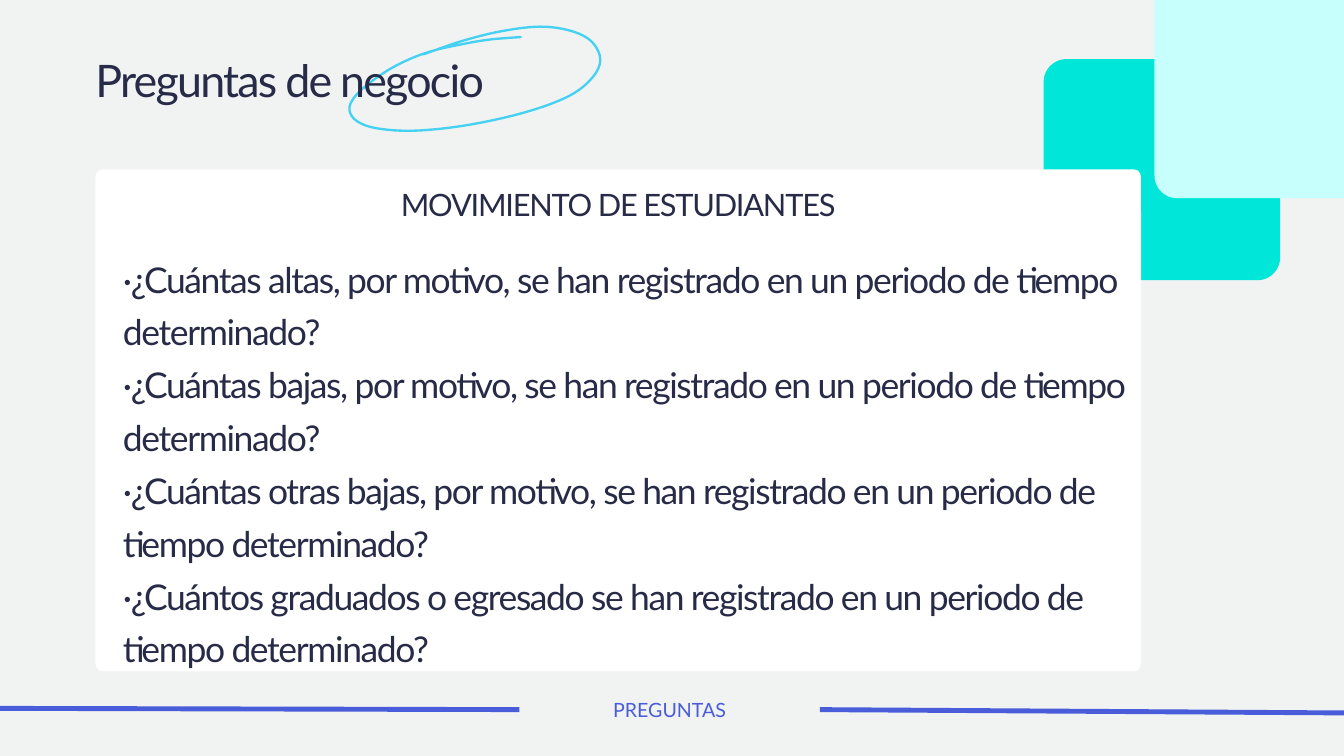
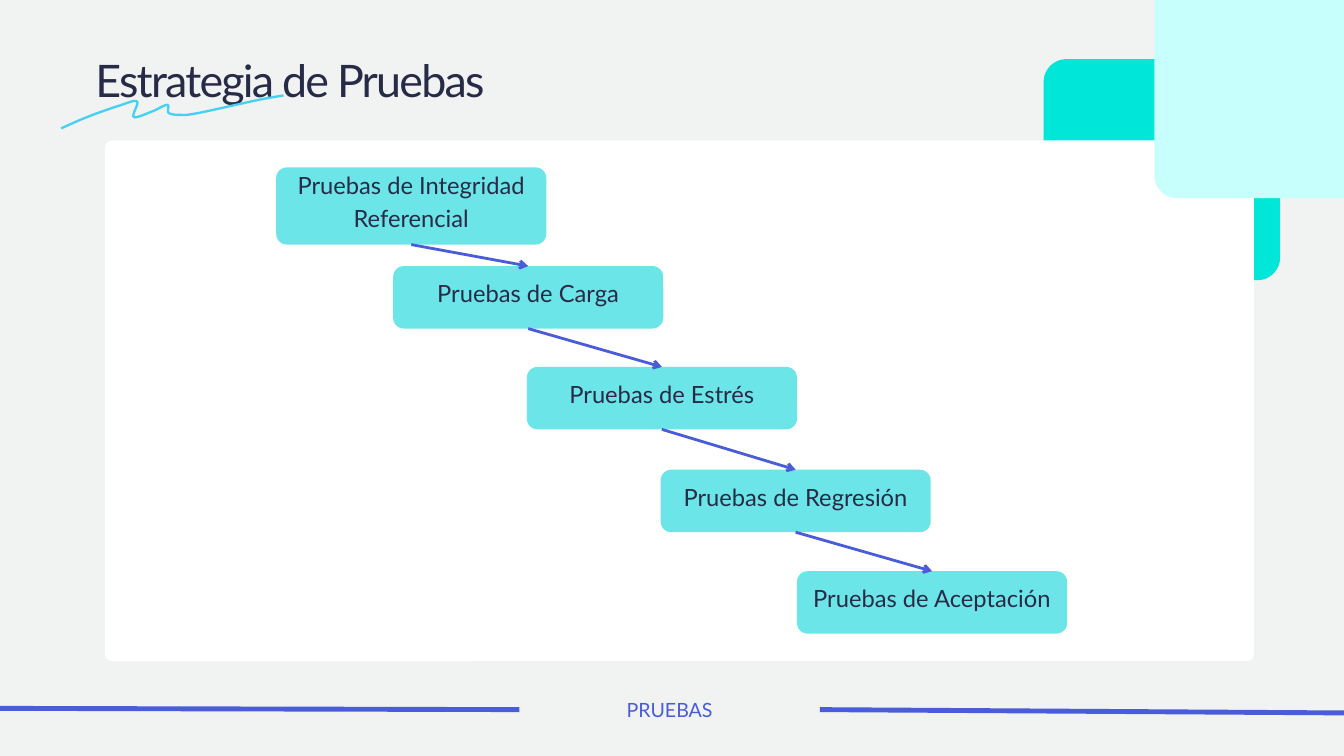
from itertools import pairwise

from lxml import etree
from pptx import Presentation
from pptx.dml.color import RGBColor
from pptx.enum.shapes import MSO_CONNECTOR, MSO_SHAPE
from pptx.enum.text import MSO_ANCHOR, MSO_AUTO_SIZE, PP_ALIGN
from pptx.oxml.ns import qn
from pptx.util import Inches, Pt

BACKGROUND = RGBColor(0xF1, 0xF2, 0xF2)
WHITE = RGBColor(0xFF, 0xFF, 0xFF)
TEAL = RGBColor(0x00, 0xE6, 0xD8)
PALE = RGBColor(0xC6, 0xFF, 0xFC)
STEP_FILL = RGBColor(0x6C, 0xE5, 0xE8)
SKY = RGBColor(0x45, 0xD1, 0xF2)
INK = RGBColor(0x27, 0x2B, 0x47)
BLUE = RGBColor(0x49, 0x5C, 0xD9)

FONT = "Lato"
ROUNDED = MSO_SHAPE.ROUNDED_RECTANGLE
STRAIGHT = MSO_CONNECTOR.STRAIGHT
LEFT, CENTER = PP_ALIGN.LEFT, PP_ALIGN.CENTER
MIDDLE = MSO_ANCHOR.MIDDLE
GROW = MSO_AUTO_SIZE.SHAPE_TO_FIT_TEXT
BOTTOM_SITE, TOP_SITE = 2, 0

QUESTIONS = [
    f"·¿{subject}, se han registrado en un periodo de tiempo determinado?"
    for subject in ("Cuántas altas, por motivo", "Cuántas bajas, por motivo",
                    "Cuántas otras bajas, por motivo")
] + ["·¿Cuántos graduados o egresado se han registrado en un periodo de tiempo determinado?"]

STEP_WIDTH = 4.02
STEPS = [
    ("Pruebas de Integridad Referencial", 4.11, 2.49, 1.15),
    ("Pruebas de Carga", 5.85, 3.96, 0.93),
    ("Pruebas de Estrés", 7.84, 5.46, 0.93),
    ("Pruebas de Regresión", 9.83, 6.99, 0.93),
    ("Pruebas de Aceptación", 11.86, 8.5, 0.93),
]

LOOP = [
    (7.81, 0.61), (7.32, 0.61), (6.88, 0.65), (6.46, 0.71), (6.1, 0.81), (5.77, 0.95),
    (5.45, 1.14), (5.24, 1.32), (5.17, 1.49), (5.27, 1.66), (5.56, 1.79), (6.12, 1.87),
    (6.91, 1.85), (7.78, 1.73), (8.45, 1.54), (8.82, 1.29), (8.95, 1.03), (8.84, 0.76),
    (8.55, 0.58), (8.1, 0.48), (7.52, 0.5), (6.91, 0.6), (6.33, 0.75),
]
UNDERLINE = [
    (0.91, 1.91), (1.3, 1.74), (1.78, 1.57), (2.04, 1.51), (1.99, 1.74), (2.26, 1.66),
    (2.49, 1.56), (2.51, 1.68), (2.69, 1.71), (2.96, 1.68), (3.83, 1.49), (4.22, 1.42),
]


def smooth(points, parts=8):
    """Return a dense Catmull-Rom curve through the points."""
    padded = [points[0], *points, points[-1]]
    curve = []
    for a, b, c, d in zip(padded, padded[1:], padded[2:], padded[3:]):
        for t in (n / parts for n in range(parts)):
            curve.append(tuple(
                0.5 * (2 * q + (u - o) * t + (2 * o - 5 * q + 4 * u - v) * t ** 2
                       + (3 * q - o - 3 * u + v) * t ** 3)
                for o, q, u, v in zip(a, b, c, d)))
    return curve + [points[-1]]


def add_stroke(s, points, rotation=0):
    """Draw a hand-drawn stroke along the points."""
    start, *rest = [(Inches(x), Inches(y)) for x, y in smooth(points)]
    builder = s.shapes.build_freeform(*start)
    builder.add_line_segments(rest, close=False)
    sp = builder.convert_to_shape()
    sp.shadow.inherit = False
    sp.fill.background()
    sp.line.color.rgb = SKY
    sp.line.width = Pt(2.5)
    sp.rotation = rotation


def add_card(s, x, y, w, h, radius, color):
    """Add a plain rounded rectangle with its corner radius in inches."""
    sp = s.shapes.add_shape(ROUNDED, Inches(x), Inches(y), Inches(w), Inches(h))
    sp.adjustments[0] = radius / min(w, h)
    sp.shadow.inherit = False
    sp.fill.solid()
    sp.fill.fore_color.rgb = color
    sp.line.fill.background()
    return sp


def write(tf, lines, size, leading, color=INK, align=LEFT, tracking=0):
    """Fill a text frame with one paragraph per line."""
    tf.word_wrap = True
    for i, line in enumerate(lines):
        p = tf.add_paragraph() if i else tf.paragraphs[0]
        p.text = line
        p.alignment = align
        p.line_spacing = Pt(leading)
        p.font.name = FONT
        p.font.size = Pt(size)
        p.font.color.rgb = color
        if tracking:
            for r in p.runs:
                r._r.get_or_add_rPr().set("spc", str(round(tracking * 100)))


def add_text(s, x, y, w, h, lines, size, leading, **style):
    """Add a text box without margins."""
    tf = s.shapes.add_textbox(Inches(x), Inches(y), Inches(w), Inches(h)).text_frame
    tf.margin_left = tf.margin_right = tf.margin_top = tf.margin_bottom = 0
    write(tf, lines, size, leading, **style)
    tf.auto_size = GROW


def add_line(s, x1, y1, x2, y2, width):
    """Add a straight blue line."""
    line = s.shapes.add_connector(STRAIGHT, Inches(x1), Inches(y1), Inches(x2), Inches(y2))
    line.line.color.rgb = BLUE
    line.line.width = Pt(width)
    etree.SubElement(line._element.spPr, qn("a:effectLst"))
    return line


def add_arrow(s, upper, lower):
    """Join the bottom of one step to the top of the next."""
    arrow = add_line(s, 0, 0, 1, 1, 3)
    arrow.begin_connect(upper, BOTTOM_SITE)
    arrow.end_connect(lower, TOP_SITE)
    etree.SubElement(arrow.line._get_or_add_ln(), qn("a:tailEnd"), type="arrow")


def add_step(s, text, x, y, h):
    """Add one step of the test cascade."""
    sp = add_card(s, x, y, STEP_WIDTH, h, 0.16, STEP_FILL)
    tf = sp.text_frame
    tf.margin_left = tf.margin_right = Inches(0.06)
    tf.margin_top, tf.margin_bottom = 0, Inches(0.2)
    tf.vertical_anchor = MIDDLE
    write(tf, [text], 25.4, 35.6, align=CENTER)
    return sp


def add_title(s, text):
    """Add the slide title."""
    add_text(s, 1.42, 0.8, 12.8, 0.78, [text], 48, 56.6, tracking=-1.9)


def add_footer(s, text):
    """Add the section name between two rules."""
    add_line(s, 12.2, 10.56, 20.12, 10.61, 5.25)
    add_line(s, -0.58, 10.54, 7.73, 10.56, 5.25)
    add_text(s, 7.73, 10.33, 4.47, 0.4, [text], 21, 29.4, color=BLUE, align=CENTER)


def add_base(prs, panel):
    """Start a slide with its background, corner blocks and white panel."""
    s = prs.slides.add_slide(prs.slide_layouts[6])
    s.background.fill.solid()
    s.background.fill.fore_color.rgb = BACKGROUND
    add_card(s, 15.53, 0.88, 3.52, 3.29, 0.34, TEAL)
    add_card(s, *panel, 0.11, WHITE)
    add_card(s, 17.18, -0.34, 3.52, 3.29, 0.34, PALE)
    return s


def build_questions(prs):
    """Build the slide of business questions."""
    s = add_base(prs, (1.42, 2.52, 15.56, 7.47))
    add_stroke(s, LOOP, rotation=355.3)
    add_title(s, "Preguntas de negocio")
    add_text(s, 2.8, 2.78, 12.8, 0.53, ["MOVIMIENTO DE ESTUDIANTES"], 33, 38.9,
             align=CENTER, tracking=-1.3)
    add_text(s, 1.83, 3.68, 15.15, 6.21, QUESTIONS, 38, 56.6, tracking=-1.5)
    add_footer(s, "PREGUNTAS")


def build_tests(prs):
    """Build the slide of the test strategy."""
    s = add_base(prs, (1.56, 2.09, 17.1, 7.75))
    steps = [add_step(s, *step) for step in STEPS]
    for upper, lower in pairwise(steps):
        add_arrow(s, upper, lower)
    add_title(s, "Estrategia de Pruebas")
    add_stroke(s, UNDERLINE)
    add_footer(s, "PRUEBAS")


def main():
    """Build and save the presentation."""
    prs = Presentation()
    prs.slide_width, prs.slide_height = Inches(20), Inches(11.25)
    build_questions(prs)
    build_tests(prs)
    prs.save("out.pptx")


if __name__ == "__main__":
    main()
